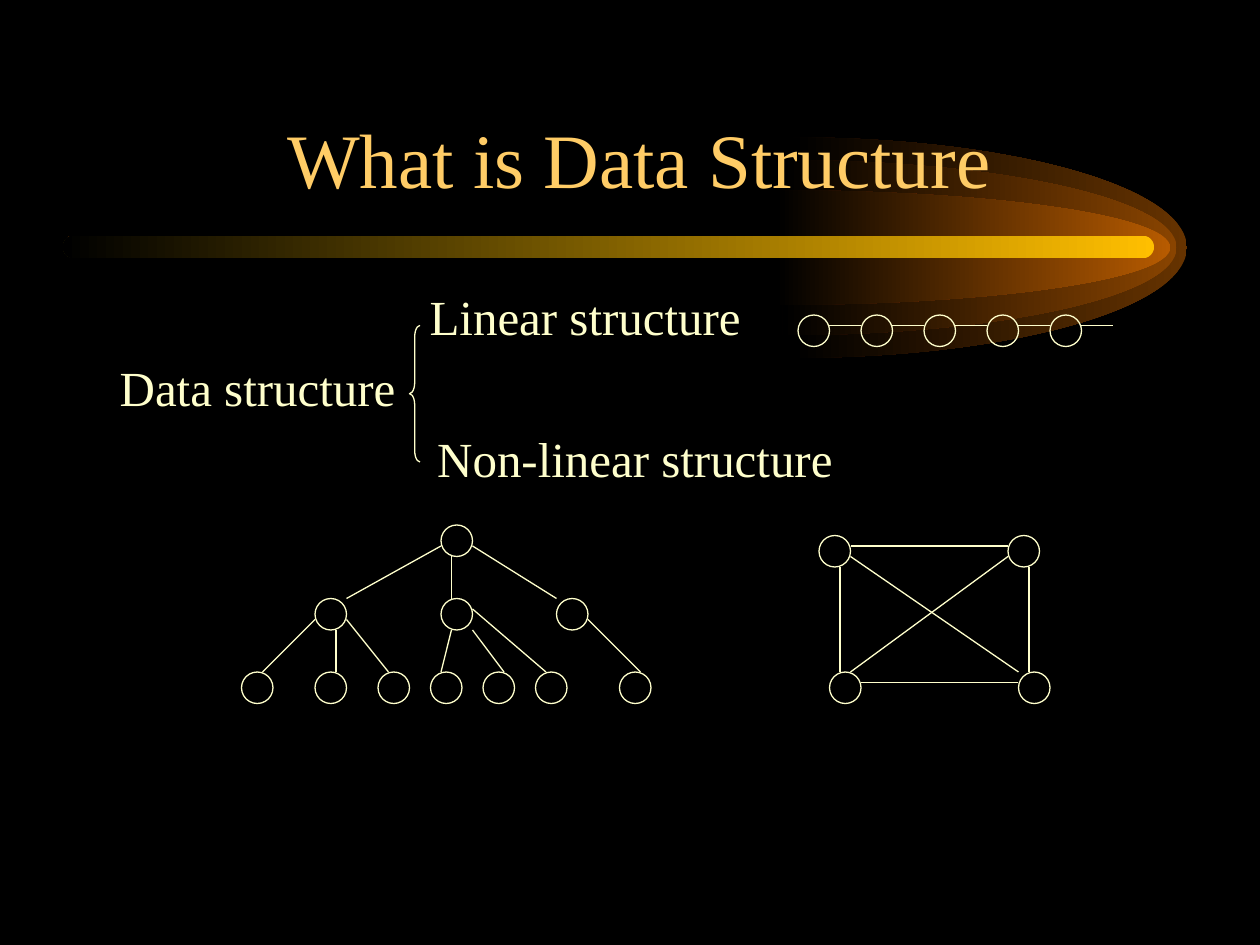
from lxml.etree import SubElement
from pptx import Presentation
from pptx.dml.color import RGBColor
from pptx.enum.shapes import MSO_CONNECTOR, MSO_SHAPE
from pptx.enum.text import MSO_ANCHOR, MSO_AUTO_SIZE, PP_ALIGN
from pptx.oxml.ns import qn
from pptx.util import Inches, Pt

BLACK = RGBColor(0x00, 0x00, 0x00)
GOLD = RGBColor(0xFF, 0xBF, 0x00)
TITLE_COLOR = RGBColor(0xFF, 0xCC, 0x66)
CREAM = RGBColor(0xFF, 0xFF, 0xCC)
FONT = "Times New Roman"

TITLE = "What is Data Structure"
OUTLINE = [
    ("Linear structure", 2.56),
    ("Data structure", 0.1),
    ("Non-linear structure", 2.62),
]

GLOWS = [
    (6.29, 1.09, 1.75, RGBColor(0x66, 0x33, 0x00)),
    (6.21, 1.27, 1.39, RGBColor(0x89, 0x44, 0x00)),
    (6.16, 1.51, 0.91, RGBColor(0xB7, 0x5B, 0x00)),
]
GLOW_WIDTH = 3.13
CURVE = 0.55
GLOW_CURVES = [
    [(CURVE, 0), (1, (1 - CURVE) / 2), (1, 0.5)],
    [(1, (1 + CURVE) / 2), (CURVE, 1), (0, 1)],
]

CELLS_PER_INCH = 12
NODE_SIZE = 3

CHAIN_STARTS = range(76, 101, 6)
CHAIN_NODES = [(column, 30) for column in CHAIN_STARTS]
CHAIN_LINKS = [(column + 3, 31, column + 6, 31) for column in CHAIN_STARTS]

TREE_LEVELS = {
    50: [42],
    57: [30, 42, 53],
    64: [23, 30, 36, 41, 46, 51, 59],
}
TREE_NODES = [(column, row) for row, columns in TREE_LEVELS.items() for column in columns]
TREE_LINKS = [
    (42, 52, 33, 57), (43, 53, 43, 57), (45, 52, 53, 57),
    (30, 59, 25, 64), (32, 60, 32, 64), (33, 59, 37, 64),
    (43, 60, 42, 64), (45, 60, 48, 64), (45, 58, 52, 64),
    (56, 59, 61, 64),
]

GRAPH_NODES = [(78, 51), (96, 51), (79, 64), (97, 64)]
GRAPH_LINKS = [
    (81, 52, 96, 52), (82, 65, 97, 65), (80, 54, 80, 64),
    (98, 54, 98, 64), (96, 53, 81, 64), (81, 53, 97, 64),
]


def cells(*counts):
    return [Inches(count / CELLS_PER_INCH) for count in counts]


def fade_left(shape, color):
    shape.shadow.inherit = False
    shape.fill.gradient()
    shape.fill.gradient_angle = 180
    for stop, stop_color in zip(shape.fill.gradient_stops, (color, BLACK)):
        stop.color.rgb = stop_color
    shape.line.fill.background()


def add_glow(slide, left, top, height, color):
    right, middle, bottom = left + GLOW_WIDTH, top + height / 2, top + height
    outline = slide.shapes.build_freeform(Inches(left), Inches(top))
    outline.add_line_segments([
        (Inches(right), Inches(middle)),
        (Inches(left), Inches(bottom)),
    ])
    glow = outline.convert_to_shape()
    for segment, curve in zip(list(glow.element.iter(qn("a:lnTo"))), GLOW_CURVES):
        segment.tag = qn("a:cubicBezTo")
        segment.remove(segment[0])
        for x, y in curve:
            SubElement(segment, qn("a:pt"), x=str(int(x * glow.width)), y=str(int(y * glow.height)))
    fade_left(glow, color)


def draw_line(shape):
    shape.line.color.rgb = CREAM
    shape.line.width = Pt(0.75)


def add_outline(slide, preset, *box):
    shape = slide.shapes.add_shape(preset, *cells(*box))
    shape.shadow.inherit = False
    shape.fill.background()
    draw_line(shape)
    return shape


def add_diagram(slide, nodes, links):
    for column, row in nodes:
        add_outline(slide, MSO_SHAPE.OVAL, column, row, NODE_SIZE, NODE_SIZE)
    for link in links:
        connector = slide.shapes.add_connector(MSO_CONNECTOR.STRAIGHT, *cells(*link))
        draw_line(connector)
        SubElement(connector.element.spPr, qn("a:effectLst"))


def place_text(slide, holder, top, height, anchor):
    holder.left, holder.width = Inches(0.75), Inches(8.5)
    holder.top, holder.height = Inches(top), Inches(height)
    frame = holder.text_frame
    frame.auto_size = MSO_AUTO_SIZE.NONE
    frame.vertical_anchor = anchor
    slide.shapes.element.append(holder.element)
    return frame


def set_font(paragraph, size, color):
    paragraph.font.name = FONT
    paragraph.font.size = Pt(size)
    paragraph.font.color.rgb = color


def main():
    deck = Presentation()
    deck.slide_width, deck.slide_height = Inches(10), Inches(7.5)
    slide = deck.slides.add_slide(deck.slide_layouts[1])
    slide.background.fill.solid()
    slide.background.fill.fore_color.rgb = BLACK

    for glow in GLOWS:
        add_glow(slide, *glow)
    bar = slide.shapes.add_shape(
        MSO_SHAPE.ROUNDED_RECTANGLE, Inches(0.5), Inches(1.87), Inches(8.66), Inches(0.18))
    bar.adjustments[0] = 0.5
    fade_left(bar, GOLD)

    title = place_text(slide, slide.shapes.title, 0.42, 1.25, MSO_ANCHOR.BOTTOM)
    title.margin_left = Inches(0.25)
    title.text = TITLE
    title.paragraphs[0].alignment = PP_ALIGN.CENTER
    set_font(title.paragraphs[0], 44, TITLE_COLOR)

    body = place_text(slide, slide.placeholders[1], 2.17, 1.75, MSO_ANCHOR.TOP)
    body.margin_top = Inches(0.1)
    body.text = "\n".join(text for text, _ in OUTLINE)
    for index, (paragraph, (_, indent)) in enumerate(zip(body.paragraphs, OUTLINE)):
        properties = paragraph._p.get_or_add_pPr()
        properties.set("marL", str(Inches(indent)))
        properties.set("indent", "0")
        SubElement(properties, qn("a:buNone"))
        paragraph.space_before = Pt(7 if index else 0)
        set_font(paragraph, 28, CREAM)

    add_diagram(slide, CHAIN_NODES, CHAIN_LINKS)
    add_diagram(slide, TREE_NODES + GRAPH_NODES, TREE_LINKS + GRAPH_LINKS)
    brace = add_outline(slide, MSO_SHAPE.LEFT_BRACE, 39, 31, 1, 13)
    brace.adjustments[0] = 1.08

    deck.save("out.pptx")


if __name__ == "__main__":
    main()
